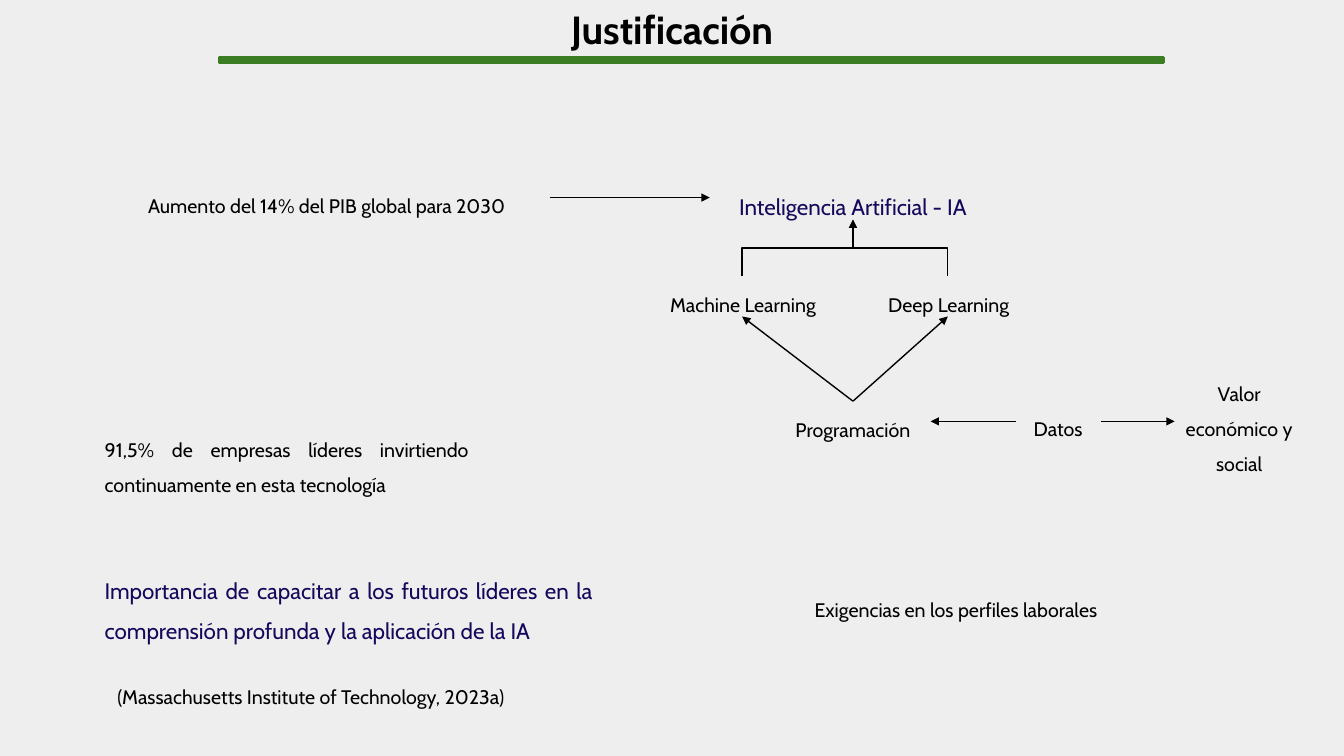
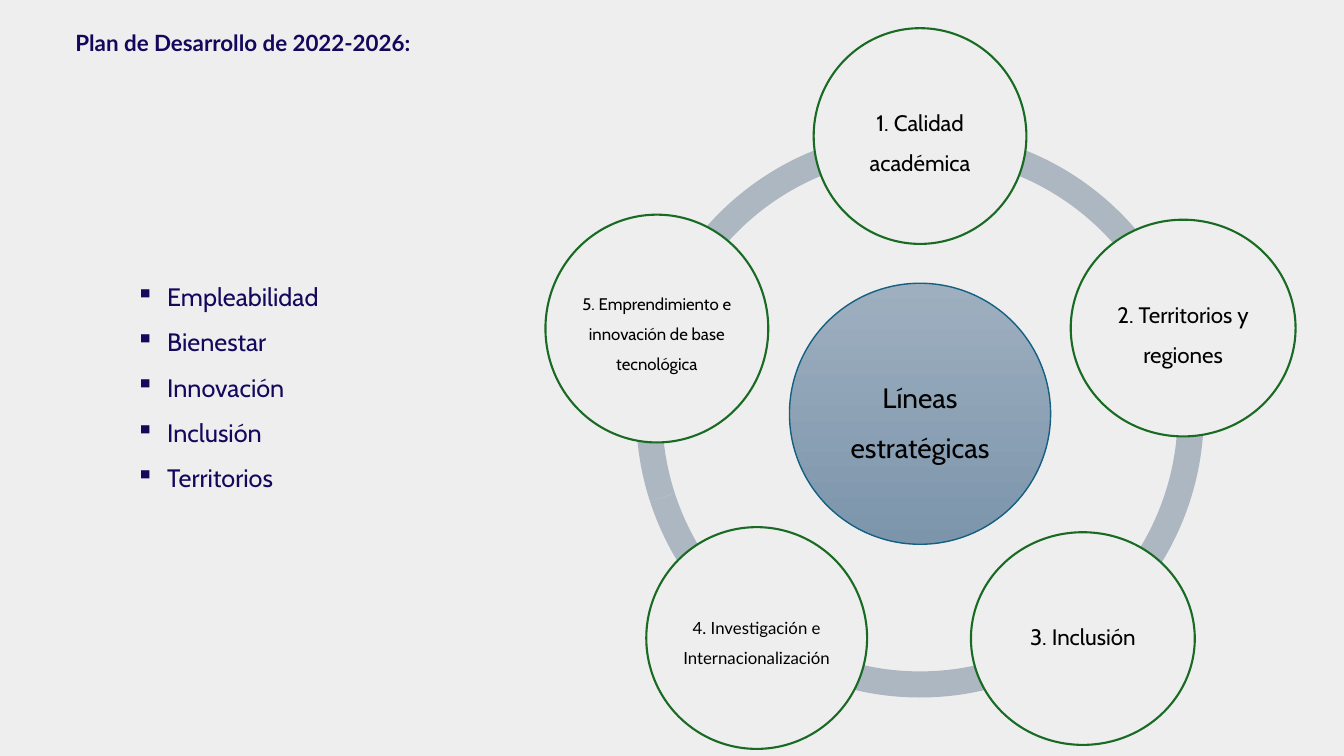
from dataclasses import dataclass
from typing import NamedTuple

from lxml.etree import SubElement
from pptx import Presentation
from pptx.dml.color import RGBColor
from pptx.enum.shapes import MSO_CONNECTOR as Connector, MSO_SHAPE as Preset
from pptx.enum.text import MSO_ANCHOR as Anchor, MSO_AUTO_SIZE as AutoSize, PP_ALIGN as Align
from pptx.oxml.ns import qn
from pptx.util import Inches, Pt


@dataclass(frozen=True)
class Theme:
    background: str = "EEEEEE"
    text: str = "000000"
    accent: str = "14085C"
    rule: str = "3B7D23"
    ring: str = "ACB7C1"
    circle_line: str = "196B24"
    hub_line: str = "156082"
    hub_top: str = "9EAFBF"
    hub_bottom: str = "7C95AB"
    font: str = "Cabin"
    alternate_font: str = "Lato"
    title: int = 28
    hub: int = 20
    bullet: int = 18
    large: int = 16
    body: int = 14
    small: int = 12


THEME = Theme()


class Frame(NamedTuple):
    left: float
    top: float
    width: float
    height: float


class Point(NamedTuple):
    x: float
    y: float


@dataclass(frozen=True)
class Label:
    text: str
    frame: Frame
    align: Align = Align.CENTER
    size: int = THEME.body
    color: str = THEME.text


@dataclass(frozen=True)
class Circle:
    text: str
    frame: Frame
    size: int = THEME.large
    font: str = THEME.font
    spacing: float = 1.5


LABELS = [
    Label("Aumento del 14% del PIB global para 2030", Frame(1.37, 1.76, 4.08, 0.41), Align.JUSTIFY),
    Label("Inteligencia Artificial - IA", Frame(7.04, 1.73, 2.84, 0.45),
          size=THEME.large, color=THEME.accent),
    Label("Machine Learning", Frame(6.42, 2.74, 1.9, 0.41)),
    Label("Deep Learning", Frame(8.46, 2.74, 1.9, 0.41)),
    Label("Programación", Frame(7.69, 3.98, 1.54, 0.41)),
    Label("Datos", Frame(10.08, 3.97, 0.83, 0.41)),
    Label("Valor económico y social", Frame(11.65, 3.62, 1.28, 1.11)),
    Label("91,5% de empresas líderes invirtiendo continuamente en esta tecnología",
          Frame(0.94, 4.18, 3.81, 0.76), Align.JUSTIFY),
    Label("Importancia de capacitar a los futuros líderes en la comprensión profunda "
          "y la aplicación de la IA",
          Frame(0.94, 5.54, 5.04, 0.85), Align.JUSTIFY, THEME.large, THEME.accent),
    Label("(Massachusetts Institute of Technology, 2023a)", Frame(0.94, 6.63, 4.29, 0.41)),
    Label("Exigencias en los perfiles laborales", Frame(7.98, 5.77, 3.81, 0.41), Align.JUSTIFY),
]

INTELLIGENCE = Point(8.46, 2.18)
PROGRAMMING = Point(8.46, 3.98)
LEARNING_X = (7.36, 9.4)
LEARNING_TOP, LEARNING_BOTTOM = 2.74, 3.14
STRAIGHT_ARROWS = [
    (Point(5.45, 1.96), Point(7.04, 1.96)),
    *((PROGRAMMING, Point(x, LEARNING_BOTTOM)) for x in LEARNING_X),
    (Point(10.08, 4.18), Point(9.23, 4.18)),
    (Point(10.92, 4.18), Point(11.65, 4.18)),
]

RING = Frame(6.31, 1.29, 5.63, 5.63)
RING_THICKNESS = 0.046
ARC_STOPS = [32.4 + 43.2 * step for step in range(5)]
DEGREE = 0.6
HUB = Frame(7.83, 2.81, 2.59, 2.59)
CIRCLES = [
    Circle("1. Calidad académica", Frame(8.07, 0.28, 2.11, 2.14)),
    Circle("2. Territorios y regiones", Frame(10.62, 2.18, 2.23, 2.15)),
    Circle("3. Inclusión", Frame(9.63, 5.28, 2.22, 2.11), spacing=0.9),
    Circle("4. Investigación e Internacionalización", Frame(6.41, 5.23, 2.19, 2.2),
           THEME.small, THEME.alternate_font),
    Circle("5. Emprendimiento e innovación de base tecnológica",
           Frame(5.41, 2.13, 2.21, 2.26), THEME.small),
]
GOALS = ["Empleabilidad", "Bienestar", "Innovación", "Inclusión", "Territorios"]


def rgb(color: str) -> RGBColor:
    return RGBColor.from_string(color)


def inches(values) -> list:
    return [Inches(value) for value in values]


def write_text(shape, text: str, *, size: int = THEME.body, color: str = THEME.text,
               font: str = THEME.font, bold: bool = False, align: Align = Align.CENTER,
               spacing: float = 1.5, bullet: str = "") -> None:
    text_frame = shape.text_frame
    text_frame.word_wrap = True
    for index, line in enumerate(text.split("\n")):
        paragraph = text_frame.add_paragraph() if index else text_frame.paragraphs[0]
        if bullet:
            properties = paragraph._p.get_or_add_pPr()
            properties.set("marL", str(Inches(0.31)))
            properties.set("indent", str(-Inches(0.31)))
            SubElement(properties, qn("a:buChar")).set("char", bullet)
        paragraph.alignment = align
        paragraph.line_spacing = spacing
        run = paragraph.add_run()
        run.text = line
        run.font.size = Pt(size)
        run.font.name = font
        run.font.bold = bold
        run.font.color.rgb = rgb(color)


def add_text(slide, frame: Frame, text: str, **text_format) -> None:
    box = slide.shapes.add_textbox(*inches(frame))
    write_text(box, text, **text_format)
    box.text_frame.auto_size = AutoSize.SHAPE_TO_FIT_TEXT


def add_shape(slide, preset: Preset, frame: Frame, fill: str, line: str = "", width: float = 1.5):
    shape = slide.shapes.add_shape(preset, *inches(frame))
    shape.shadow.inherit = False
    shape.fill.solid()
    shape.fill.fore_color.rgb = rgb(fill)
    if line:
        shape.line.color.rgb = rgb(line)
        shape.line.width = Pt(width)
    else:
        shape.line.fill.background()
    return shape


def add_circle(slide, circle: Circle, line: str, width: float, inset: float):
    shape = add_shape(slide, Preset.OVAL, circle.frame, THEME.background, line, width)
    text_frame = shape.text_frame
    text_frame.margin_left = text_frame.margin_right = Inches(inset)
    text_frame.margin_top = text_frame.margin_bottom = Inches(inset)
    text_frame.vertical_anchor = Anchor.MIDDLE
    write_text(shape, circle.text, size=circle.size, font=circle.font, spacing=circle.spacing)
    return shape


def add_arrow(slide, start: Point, end: Point, kind: Connector = Connector.STRAIGHT):
    connector = slide.shapes.add_connector(kind, *inches((*start, *end)))
    connector.line.color.rgb = rgb(THEME.text)
    connector.line.width = Pt(1)
    SubElement(connector.line._get_or_add_ln(), qn("a:tailEnd")).set("type", "triangle")
    SubElement(connector._element.spPr, qn("a:effectLst"))
    return connector


def add_upright_elbow(slide, start: Point, end: Point) -> None:
    center = Point((start.x + end.x) / 2, (start.y + end.y) / 2)
    turn = 1 if end.x > start.x else -1
    across = turn * (start.y - center.y)
    down = turn * (center.x - start.x)
    connector = add_arrow(slide, Point(center.x + across, center.y + down),
                          Point(center.x - across, center.y - down), Connector.ELBOW)
    connector.rotation = 90 * turn % 360


def new_slide(presentation):
    slide = presentation.slides.add_slide(presentation.slide_layouts[6])
    slide.background.fill.solid()
    slide.background.fill.fore_color.rgb = rgb(THEME.background)
    return slide


def build_justification(presentation) -> None:
    slide = new_slide(presentation)
    add_text(slide, Frame(0, 0, 13.33, 0.57), "Justificación",
             size=THEME.title, bold=True, spacing=1.0)
    add_shape(slide, Preset.RECTANGLE, Frame(2.17, 0.57, 9.37, 0.05), THEME.rule, THEME.rule)
    for label in LABELS:
        add_text(slide, label.frame, label.text, size=label.size,
                 color=label.color, align=label.align)
    for x in LEARNING_X:
        add_upright_elbow(slide, Point(x, LEARNING_TOP), INTELLIGENCE)
    for start, end in STRAIGHT_ARROWS:
        add_arrow(slide, start, end)


def build_development_plan(presentation) -> None:
    slide = new_slide(presentation)
    for start, end in zip(ARC_STOPS, ARC_STOPS[1:] + ARC_STOPS[:1]):
        arc = add_shape(slide, Preset.BLOCK_ARC, RING, THEME.ring)
        for index, value in enumerate((start * DEGREE, end * DEGREE, RING_THICKNESS)):
            arc.adjustments[index] = value
    hub = add_circle(slide, Circle("Líneas estratégicas", HUB, THEME.hub),
                     THEME.hub_line, 1, 0.03)
    hub.fill.gradient()
    hub.fill.gradient_angle = 270
    for stop, color in zip(hub.fill.gradient_stops, (THEME.hub_top, THEME.hub_bottom)):
        stop.color.rgb = rgb(color)
    for circle in CIRCLES:
        add_circle(slide, circle, THEME.circle_line, 1.5, 0.02)
    add_text(slide, Frame(0.65, 0.11, 3.83, 0.47), "Plan de Desarrollo de 2022-2026:",
             size=THEME.large, color=THEME.accent, font=THEME.alternate_font,
             bold=True, align=Align.JUSTIFY)
    add_text(slide, Frame(1.25, 2.59, 2.91, 2.31), "\n".join(GOALS), size=THEME.bullet,
             color=THEME.accent, align=Align.JUSTIFY, bullet="▪")


def main() -> None:
    presentation = Presentation()
    presentation.slide_width = Inches(13.33)
    presentation.slide_height = Inches(7.5)
    build_justification(presentation)
    build_development_plan(presentation)
    presentation.save("out.pptx")


if __name__ == "__main__":
    main()
